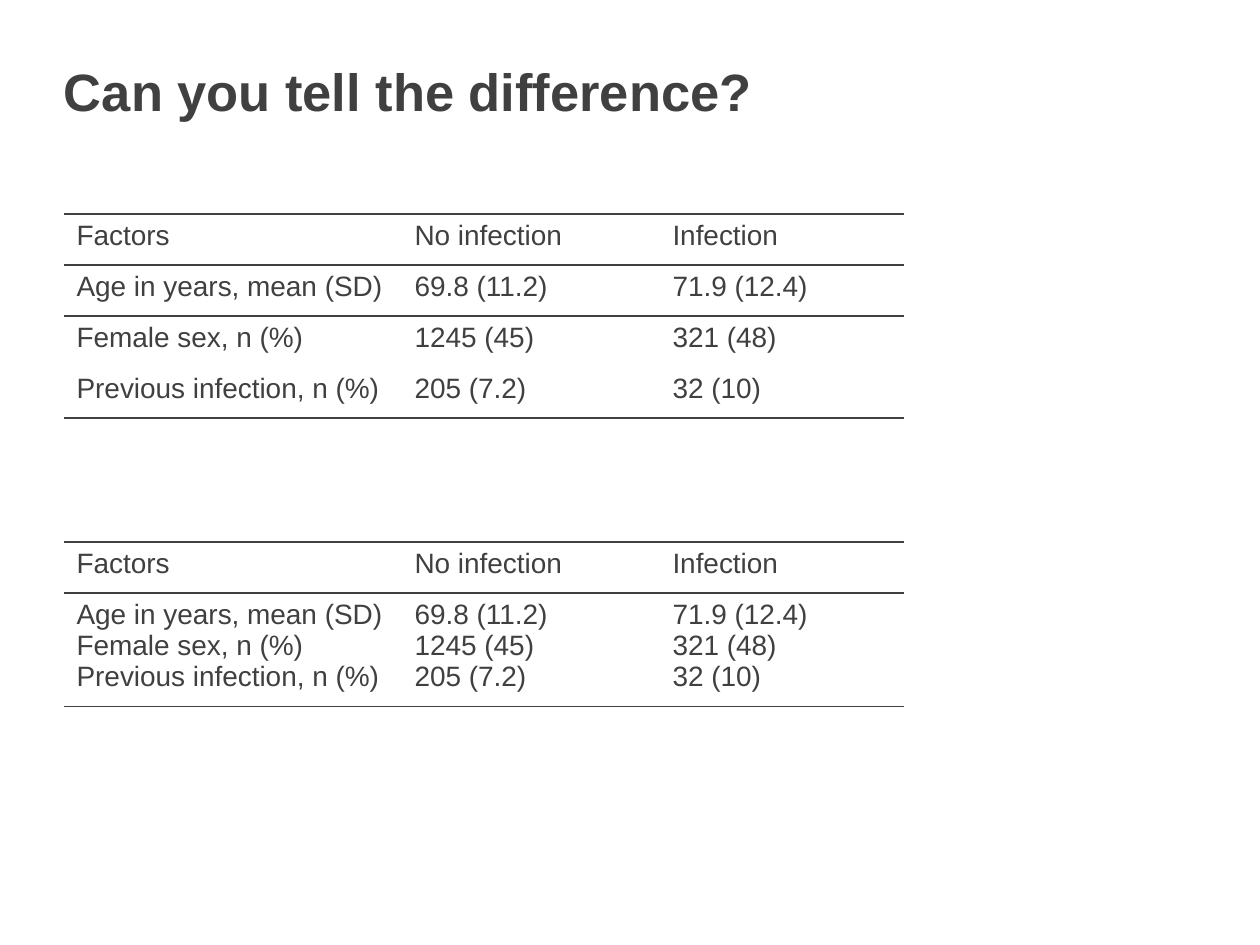
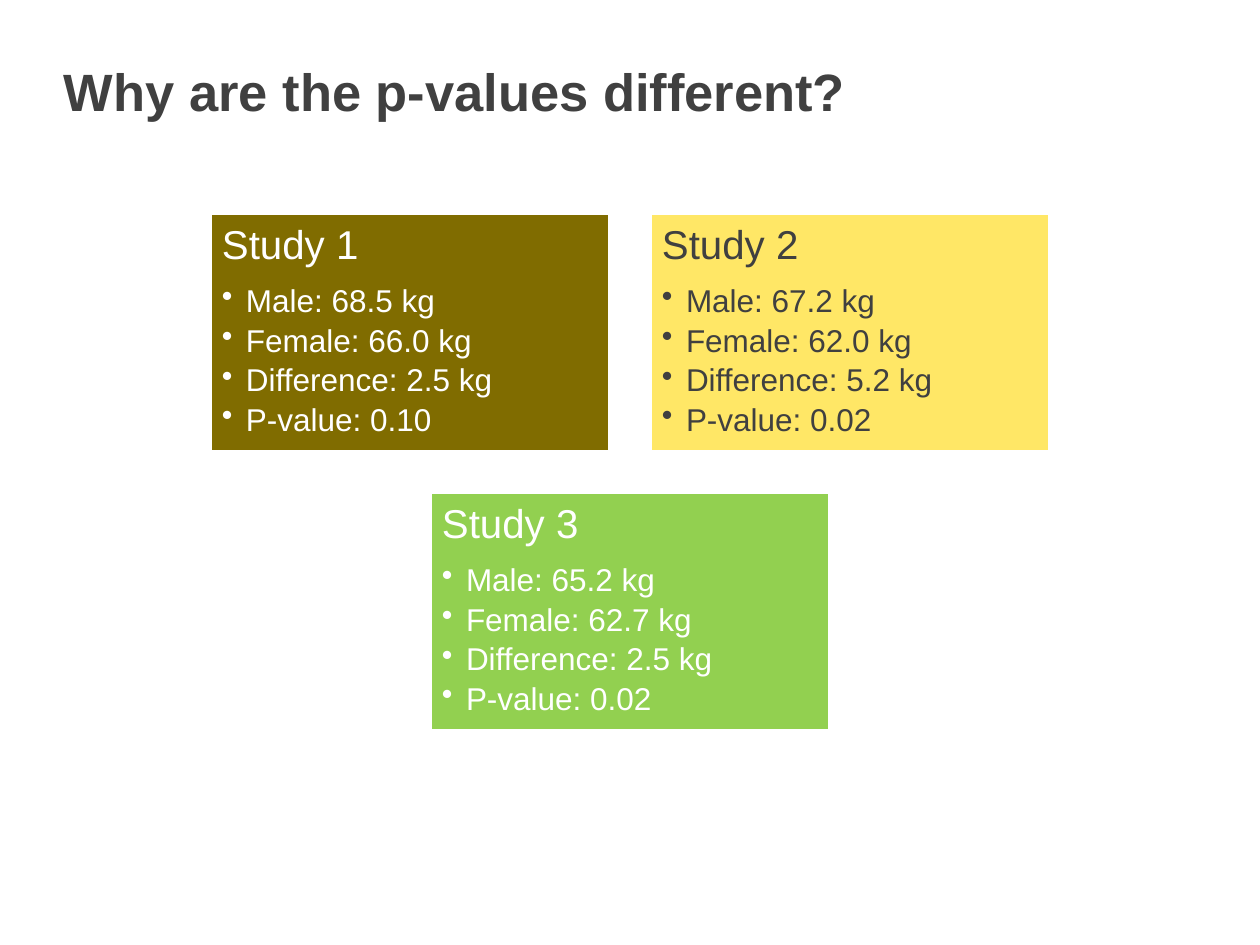
from dataclasses import dataclass

from lxml import etree
from pptx import Presentation
from pptx.dml.color import RGBColor
from pptx.enum.shapes import MSO_SHAPE
from pptx.enum.text import MSO_ANCHOR
from pptx.oxml.ns import qn
from pptx.util import Pt

RECT = MSO_SHAPE.RECTANGLE
TOP = MSO_ANCHOR.TOP
MIDDLE = MSO_ANCHOR.MIDDLE
SCALE = 914400 / 126


@dataclass(frozen=True)
class Theme:
    """Colours and type sizes of the deck."""
    font: str = "Arial"
    ink: str = "404040"
    white: str = "FFFFFF"
    olive: str = "806C00"
    yellow: str = "FFE766"
    green: str = "92D050"
    title: int = 30
    head: int = 23
    item: int = 18
    cell: int = 16


THEME = Theme()
LEFT = 64
COLS = (338, 258, 244)
ROW = 51
CARD_W, CARD_H, GAP = 400, 239, 40
HEADS = ("Factors", "No infection", "Infection")
FACTS = (
    ("Age in years, mean (SD)", "69.8 (11.2)", "71.9 (12.4)"),
    ("Female sex, n (%)", "1245 (45)", "321 (48)"),
    ("Previous infection, n (%)", "205 (7.2)", "32 (10)"),
)
LABELS = ("Male: {} kg", "Female: {} kg", "Difference: {} kg", "P-value: {}")


def px(*sizes):
    """Turn px lengths into a list of EMU."""
    return [round(size * SCALE) for size in sizes]


def rgb(code):
    """Turn a hex code into a colour."""
    return RGBColor.from_string(code)


def write(para, text, size, ink=THEME.ink, bold=False):
    """Add one styled run to a paragraph."""
    run = para.add_run()
    run.text = text
    font = run.font
    font.name, font.size, font.bold = THEME.font, Pt(size), bold
    font.color.rgb = rgb(ink)


def lines(frame, count):
    """Return the given number of paragraphs of a frame."""
    return [frame.paragraphs[0]] + [frame.add_paragraph() for _ in range(count - 1)]


def pad(frame, size):
    """Set all four insets of a frame and wrap its text."""
    inset, = px(size)
    frame.margin_left = frame.margin_right = inset
    frame.margin_top = frame.margin_bottom = inset
    frame.word_wrap = True


def bullet(para, indent):
    """Give a paragraph a hanging round bullet."""
    props = para._p.get_or_add_pPr()
    step, = px(indent)
    props.set("marL", str(step))
    props.set("indent", str(-step))
    etree.SubElement(props, qn("a:buChar")).set("char", "•")


def add_page(deck, title):
    """Add a blank slide with its title."""
    slide = deck.slides.add_slide(deck.slide_layouts[6])
    frame = slide.shapes.add_textbox(*px(LEFT, 59, 1131, 64)).text_frame
    pad(frame, 0)
    frame.vertical_anchor = MIDDLE
    write(frame.paragraphs[0], title, THEME.title, bold=True)
    return slide


def rule(cell, side, shown):
    """Draw or clear the border on one side of a cell."""
    edge = etree.SubElement(cell._tc.get_or_add_tcPr(), qn("a:ln" + side))
    edge.set("w", str(Pt(1)))
    if shown:
        fill = etree.SubElement(edge, qn("a:solidFill"))
        etree.SubElement(fill, qn("a:srgbClr")).set("val", THEME.ink)
    else:
        etree.SubElement(edge, qn("a:noFill"))


def add_grid(slide, top, rows, highs, ruled):
    """Add a table whose cells hold lists of lines, ruled at given rows."""
    box = px(LEFT, top, sum(COLS), sum(highs))
    table = slide.shapes.add_table(len(rows), len(COLS), *box).table
    table.first_row = table.horz_banding = False
    for col, width in zip(table.columns, px(*COLS)):
        col.width = width
    for row, high in zip(table.rows, px(*highs)):
        row.height = high
    for r, row in enumerate(rows):
        for c, texts in enumerate(row):
            cell = table.cell(r, c)
            for para, text in zip(lines(cell.text_frame, len(texts)), texts):
                write(para, text, THEME.cell)
            for side in "LR":
                rule(cell, side, False)
            rule(cell, "T", r in ruled)
            rule(cell, "B", r + 1 in ruled)
            cell.fill.background()


def add_card(slide, left, top, name, values, fill, ink):
    """Add a study card with a heading and bulleted values."""
    card = slide.shapes.add_shape(RECT, *px(left, top, CARD_W, CARD_H))
    card.shadow.inherit = False
    card.fill.solid()
    card.fill.fore_color.rgb = rgb(fill)
    card.line.color.rgb = rgb(THEME.white)
    card.line.width = Pt(2)
    frame = card.text_frame
    pad(frame, 12)
    frame.vertical_anchor = TOP
    head, *items = lines(frame, len(values) + 1)
    head.space_after = Pt(9.7)
    write(head, name, THEME.head, ink)
    for para, label, value in zip(items, LABELS, values):
        para.space_after = Pt(3.2)
        bullet(para, 24)
        write(para, label.format(value), THEME.item, ink)
    for para in (head, *items):
        para.alignment = 1
        para.line_spacing = 0.9


def main():
    """Build both slides and save the deck."""
    deck = Presentation()
    deck.slide_width, deck.slide_height = px(1260, 945)

    slide = add_page(deck, "Can you tell the difference?")
    split = [[[text] for text in row] for row in (HEADS, *FACTS)]
    add_grid(slide, 214, split, [ROW] * 4, (0, 1, 2, 4))
    merged = [split[0], list(zip(*FACTS))]
    add_grid(slide, 542, merged, [ROW, 106], (0, 1, 2))

    slide = add_page(deck, "Why are the p-values different?")
    left, top = 210, 213
    step = CARD_W + GAP
    add_card(slide, left, top, "Study 1", ("68.5", "66.0", "2.5", "0.10"),
             THEME.olive, THEME.white)
    add_card(slide, left + step, top, "Study 2", ("67.2", "62.0", "5.2", "0.02"),
             THEME.yellow, THEME.ink)
    add_card(slide, left + step // 2, top + CARD_H + GAP, "Study 3",
             ("65.2", "62.7", "2.5", "0.02"), THEME.green, THEME.white)

    deck.save("out.pptx")


if __name__ == "__main__":
    main()
